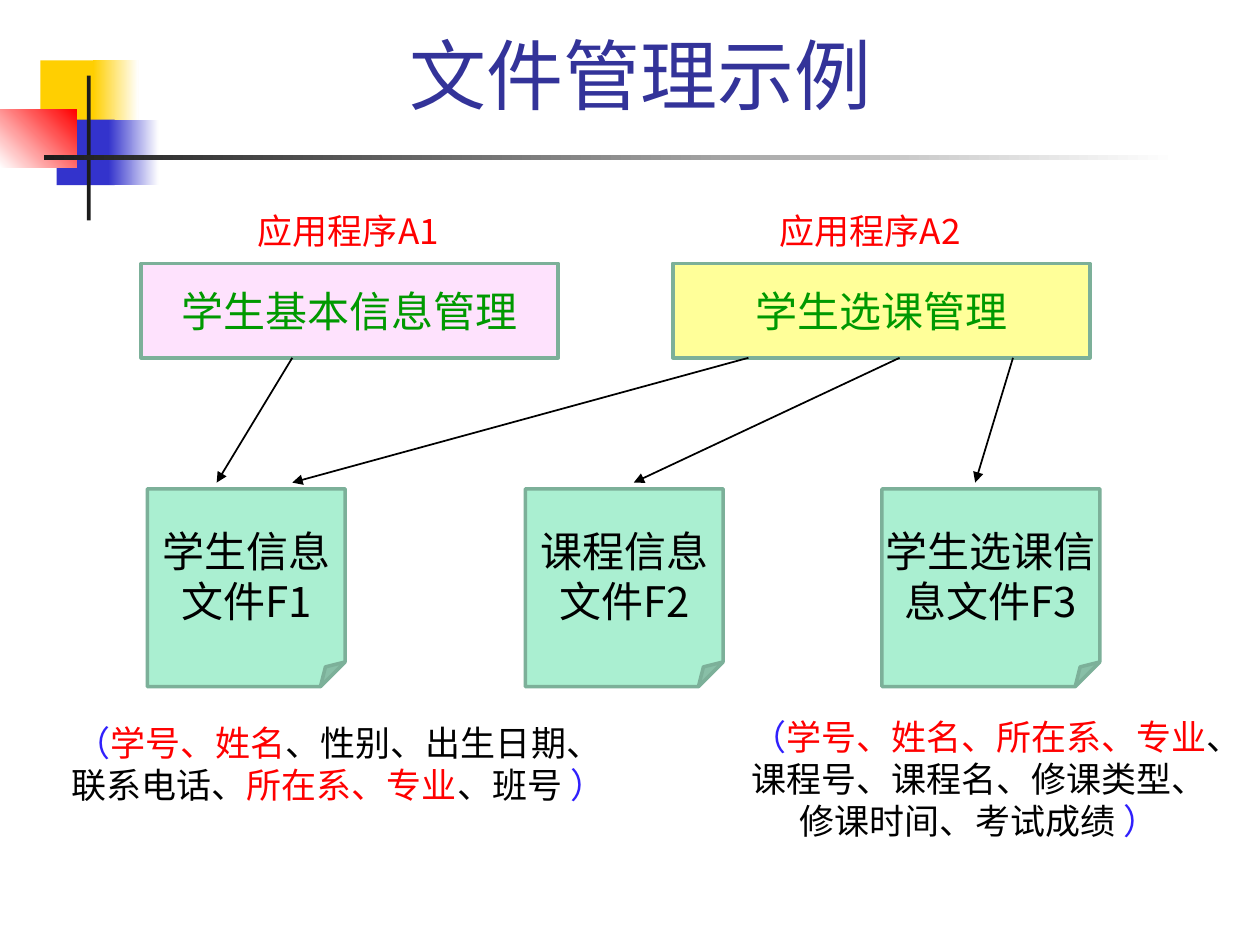
from lxml import etree
from pptx import Presentation
from pptx.dml.color import RGBColor
from pptx.enum.shapes import MSO_CONNECTOR, MSO_SHAPE
from pptx.enum.text import MSO_ANCHOR, MSO_AUTO_SIZE, PP_ALIGN
from pptx.oxml.ns import qn
from pptx.util import Inches, Pt

RECTANGLE, FOLDED = MSO_SHAPE.RECTANGLE, MSO_SHAPE.FOLDED_CORNER
TOP, MIDDLE, BOTTOM = MSO_ANCHOR.TOP, MSO_ANCHOR.MIDDLE, MSO_ANCHOR.BOTTOM
FONT = "Noto Sans CJK SC"
RED, BLACK, BLUE, GREEN = "FF0000", "000000", "3020FC", "009900"
BORDER, FILE_FILL, WHITE, DARK = "7CB099", "AAEFD1", "FFFFFF", "1C1C1C"

TITLE = "文件管理示例"
# left, top, width, height, colours (two make a gradient), angle
DECORATIONS = [
    (0.32, 0.48, 0.48, 0.52, ["FFCF01"], 0),
    (0.74, 0.48, 0.36, 0.52, ["FFCF01", WHITE], 0),
    (0.45, 0.95, 0.46, 0.52, ["3333CC"], 0),
    (0.86, 0.95, 0.4, 0.52, ["3333CC", WHITE], 0),
    (0, 0.87, 0.61, 0.46, [WHITE, RED], 45),
    (0.69, 0.6, 0.03, 1.15, [DARK], 0),
    (0.35, 1.23, 9, 0.04, [DARK, WHITE], 0),
]
# label, label left, program, program left, fill
PROGRAMS = [
    ("应用程序A1", 1.56, "学生基本信息管理", 1.12, "FEE2FD"),
    ("应用程序A2", 5.7, "学生选课管理", 5.34, "FFFF99"),
]
# lines, left, width
FILES = [
    (["学生信息", "文件F1"], 1.17, 1.57),
    (["课程信息", "文件F2"], 4.17, 1.57),
    (["学生选课信", "息文件F3"], 7, 1.73),
]
# horizontal start at a program, horizontal end at a file
ARROWS = [(2.32, 1.72), (5.94, 2.32), (7.14, 5.03), (8.04, 7.74)]
# left, top, width, height, coloured runs
FIELD_LISTS = [
    (0.42, 5.68, 4.53, 0.77, [
        ("（", BLUE), ("学号、姓名", RED), ("、性别、出生日期、联系电话、", BLACK),
        ("所在系、专业", RED), ("、班号 ", BLACK), ("）", BLUE)]),
    (5.86, 5.63, 3.82, 1.1, [
        ("（", BLUE), ("学号、姓名、所在系、专业", RED),
        ("、课程号、课程名、修课类型、修课时间、考试成绩 ", BLACK), ("）", BLUE)]),
]
LABEL_TOP, LABEL_WIDTH, LABEL_HEIGHT = 1.61, 2.41, 0.74
PROGRAM_TOP, PROGRAM_WIDTH, PROGRAM_HEIGHT = 2.09, 3.31, 0.75
PROGRAM_BOTTOM = PROGRAM_TOP + PROGRAM_HEIGHT
FILE_TOP, FILE_HEIGHT = 3.88, 1.57
ARROW_END = FILE_TOP - 0.05


def rgb(color):
    return RGBColor.from_string(color)


def add_box(slide, kind, box, colors, angle=0, border=None):
    shape = slide.shapes.add_shape(kind, *map(Inches, box))
    shape.shadow.inherit = False
    if len(colors) == 1:
        shape.fill.solid()
        shape.fill.fore_color.rgb = rgb(colors[0])
    else:
        shape.fill.gradient()
        shape.fill.gradient_angle = angle
        for stop, color in zip(shape.fill.gradient_stops, colors):
            stop.color.rgb = rgb(color)
    if border:
        shape.line.color.rgb = rgb(border)
        shape.line.width = Pt(2)
    else:
        shape.line.fill.background()
    return shape


def set_fold(shape, share):
    """Set the fold's size, which has no entry in shape.adjustments."""
    guides = next(shape._element.iter(qn("a:avLst")))
    etree.SubElement(guides, qn("a:gd"), name="adj", fmla=f"val {round(share * 100000)}")


def write_text(shape, paragraphs, size, anchor, wrap=True):
    """Fill a shape with centred paragraphs, each a list of (text, colour) runs."""
    frame = shape.text_frame
    frame.word_wrap = wrap
    frame.auto_size = MSO_AUTO_SIZE.NONE
    frame.vertical_anchor = anchor
    for index, runs in enumerate(paragraphs):
        paragraph = frame.add_paragraph() if index else frame.paragraphs[0]
        paragraph.alignment = PP_ALIGN.CENTER
        paragraph.font.size = Pt(size)
        paragraph.font.name = FONT
        for text, color in runs:
            run = paragraph.add_run()
            run.text = text
            run.font.color.rgb = rgb(color)
        latin = next(paragraph._p.iter(qn("a:latin")))
        east_asian = etree.Element(qn("a:ea"), typeface=FONT)
        latin.addnext(east_asian)


def add_arrow(slide, start, end):
    arrow = slide.shapes.add_connector(
        MSO_CONNECTOR.STRAIGHT, *map(Inches, start + end))
    arrow.line.color.rgb = rgb(BLACK)
    arrow.line.width = Pt(1)
    etree.SubElement(arrow.line._get_or_add_ln(), qn("a:tailEnd"), type="triangle")
    etree.SubElement(arrow._element.spPr, qn("a:effectLst"))


def main():
    presentation = Presentation()
    presentation.slide_width, presentation.slide_height = Inches(10), Inches(7.5)
    slide = presentation.slides.add_slide(presentation.slide_layouts[5])

    for *box, colors, angle in DECORATIONS:
        add_box(slide, RECTANGLE, box, colors, angle)

    title = slide.shapes.title
    title.left, title.top = Inches(0.67), Inches(0.33)
    title.width, title.height = Inches(8.83), Inches(0.67)
    write_text(title, [[(TITLE, "333399")]], 44, BOTTOM)

    for label, label_left, name, left, fill in PROGRAMS:
        label_box = (label_left, LABEL_TOP, LABEL_WIDTH, LABEL_HEIGHT)
        write_text(add_box(slide, RECTANGLE, label_box, [WHITE]),
                   [[(label, RED)]], 20, TOP)
        program_box = (left, PROGRAM_TOP, PROGRAM_WIDTH, PROGRAM_HEIGHT)
        write_text(add_box(slide, RECTANGLE, program_box, [fill], border=BORDER),
                   [[(name, GREEN)]], 24, MIDDLE)

    for start, end in ARROWS:
        add_arrow(slide, (start, PROGRAM_BOTTOM), (end, ARROW_END))

    for lines, left, width in FILES:
        file_box = (left, FILE_TOP, width, FILE_HEIGHT)
        shape = add_box(slide, FOLDED, file_box, [FILE_FILL], border=BORDER)
        set_fold(shape, 0.125)
        write_text(shape, [[(line, BLACK)] for line in lines], 24, MIDDLE, wrap=False)

    for *box, runs in FIELD_LISTS:
        write_text(slide.shapes.add_textbox(*map(Inches, box)), [runs], 20, TOP)

    presentation.save("out.pptx")


if __name__ == "__main__":
    main()
